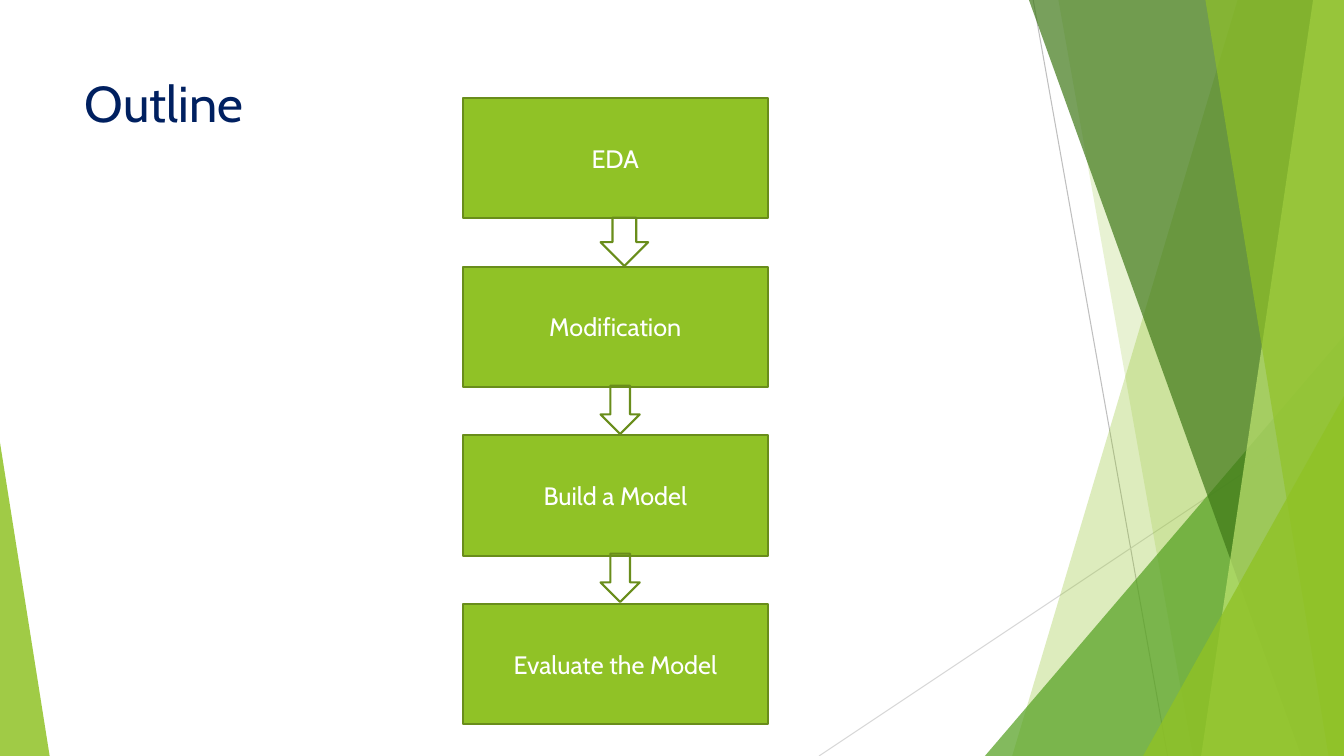
"""Build the outline slide: four process steps over a green faceted backdrop."""
from lxml.etree import SubElement
from pptx import Presentation
from pptx.dml.color import RGBColor
from pptx.enum.shapes import MSO_CONNECTOR, MSO_SHAPE as Shape
from pptx.enum.text import MSO_ANCHOR as Anchor, PP_ALIGN as Align
from pptx.oxml.ns import qn
from pptx.util import Pt

WIDTH, HEIGHT = 960, 540
LIME = RGBColor(0x90, 0xC2, 0x26)
PALE_LIME = RGBColor(0xBF, 0xE4, 0x71)
GREEN = RGBColor(0x54, 0xA0, 0x21)
DARK_GREEN = RGBColor(0x3F, 0x78, 0x18)
OLIVE = RGBColor(0x69, 0x8D, 0x1B)
NAVY = RGBColor(0x00, 0x20, 0x60)
WHITE = RGBColor(0xFF, 0xFF, 0xFF)
GRAY = RGBColor(0xBF, 0xBF, 0xBF)
LIGHT_GRAY = RGBColor(0xD8, 0xD8, 0xD8)

STEPS = ["EDA", "Modification", "Build a Model", "Evaluate the Model"]
STEP_LEFT, STEP_TOP, STEP_WIDTH, STEP_HEIGHT, STEP_PITCH = 330.5, 70, 218, 86, 120.5
ARROW_LEFT, ARROW_TOP, ARROW_HEIGHT, ARROW_PITCH = 429, 155.5, 34.5, 120
ARROW_WIDTHS = [34, 28, 28]


def write(frame, text, size=18, color=WHITE, align=Align.CENTER, anchor=Anchor.MIDDLE, font="Cabin"):
    frame.word_wrap = True
    frame.vertical_anchor = anchor
    paragraph = frame.paragraphs[0]
    paragraph.alignment = align
    run = paragraph.add_run()
    run.text = text
    run.font.name = font
    run.font.size = Pt(size)
    run.font.color.rgb = color


class Deck:
    def __init__(self, slide):
        self.shapes = slide.shapes
        self.outline_width = Pt(1.5)
        self.hairline_width = Pt(0.75)

    def hairline(self, x1, y1, x2, y2, color):
        line = self.shapes.add_connector(MSO_CONNECTOR.STRAIGHT, Pt(x1), Pt(y1), Pt(x2), Pt(y2))
        line.line.color.rgb = color
        line.line.width = self.hairline_width
        SubElement(line.element.spPr, qn("a:effectLst"))

    def tint(self, facet, color, opacity):
        facet.shadow.inherit = False
        facet.line.fill.background()
        facet.fill.solid()
        facet.fill.fore_color.rgb = color
        tone = facet.element.spPr.find(".//" + qn("a:srgbClr"))
        SubElement(tone, qn("a:alpha"), val=str(opacity * 1000))

    def panel(self, top_x, bottom_x, color, opacity):
        outline = self.shapes.build_freeform(Pt(top_x), 0)
        corners = [(WIDTH, 0), (WIDTH, HEIGHT), (bottom_x, HEIGHT)]
        outline.add_line_segments([(Pt(x), Pt(y)) for x, y in corners], close=True)
        self.tint(outline.convert_to_shape(), color, opacity)

    def corner(self, left, top, width, apex, color, opacity):
        wedge = self.shapes.add_shape(
            Shape.ISOSCELES_TRIANGLE, Pt(left), Pt(top), Pt(width), Pt(HEIGHT - top))
        wedge.adjustments[0] = apex
        self.tint(wedge, color, opacity)

    def outlined(self, kind, left, top, width, height):
        figure = self.shapes.add_shape(kind, Pt(left), Pt(top), Pt(width), Pt(height))
        figure.shadow.inherit = False
        figure.line.color.rgb = OLIVE
        figure.line.width = self.outline_width
        return figure

    def step(self, text, top):
        box = self.outlined(Shape.RECTANGLE, STEP_LEFT, top, STEP_WIDTH, STEP_HEIGHT)
        box.fill.solid()
        box.fill.fore_color.rgb = LIME
        write(box.text_frame, text)

    def arrow(self, top, width):
        arrow = self.outlined(Shape.DOWN_ARROW, ARROW_LEFT, top, width, ARROW_HEIGHT)
        arrow.fill.background()

    def title(self, text, left, top, width, height):
        heading = self.shapes.add_textbox(Pt(left), Pt(top), Pt(width), Pt(height))
        write(heading.text_frame, text, size=36, color=NAVY, align=Align.LEFT, anchor=Anchor.TOP)


def main():
    presentation = Presentation()
    presentation.slide_width = Pt(WIDTH)
    presentation.slide_height = Pt(HEIGHT)
    deck = Deck(presentation.slides.add_slide(presentation.slide_layouts[6]))

    deck.hairline(738, 0, 834, HEIGHT, GRAY)
    deck.hairline(WIDTH, 290, 585, HEIGHT, LIGHT_GRAY)
    deck.panel(884, 723, LIME, 30)
    deck.panel(756, 852, LIME, 20)
    deck.corner(703.5, 240, 256.5, 1, GREEN, 72)
    deck.panel(735, 929.5, DARK_GREEN, 70)
    deck.panel(938, 858, PALE_LIME, 70)
    deck.panel(861, 949, LIME, 65)
    deck.corner(816.5, 283, 143.5, 1, LIME, 80)
    deck.corner(0, 316, 35.5, 0, LIME, 85)

    deck.title("Outline", 53.5, 48, 677, 104)
    for index, text in enumerate(STEPS):
        deck.step(text, STEP_TOP + index * STEP_PITCH)
    for index, width in enumerate(ARROW_WIDTHS):
        deck.arrow(ARROW_TOP + index * ARROW_PITCH, width)

    presentation.save("out.pptx")


if __name__ == "__main__":
    main()
